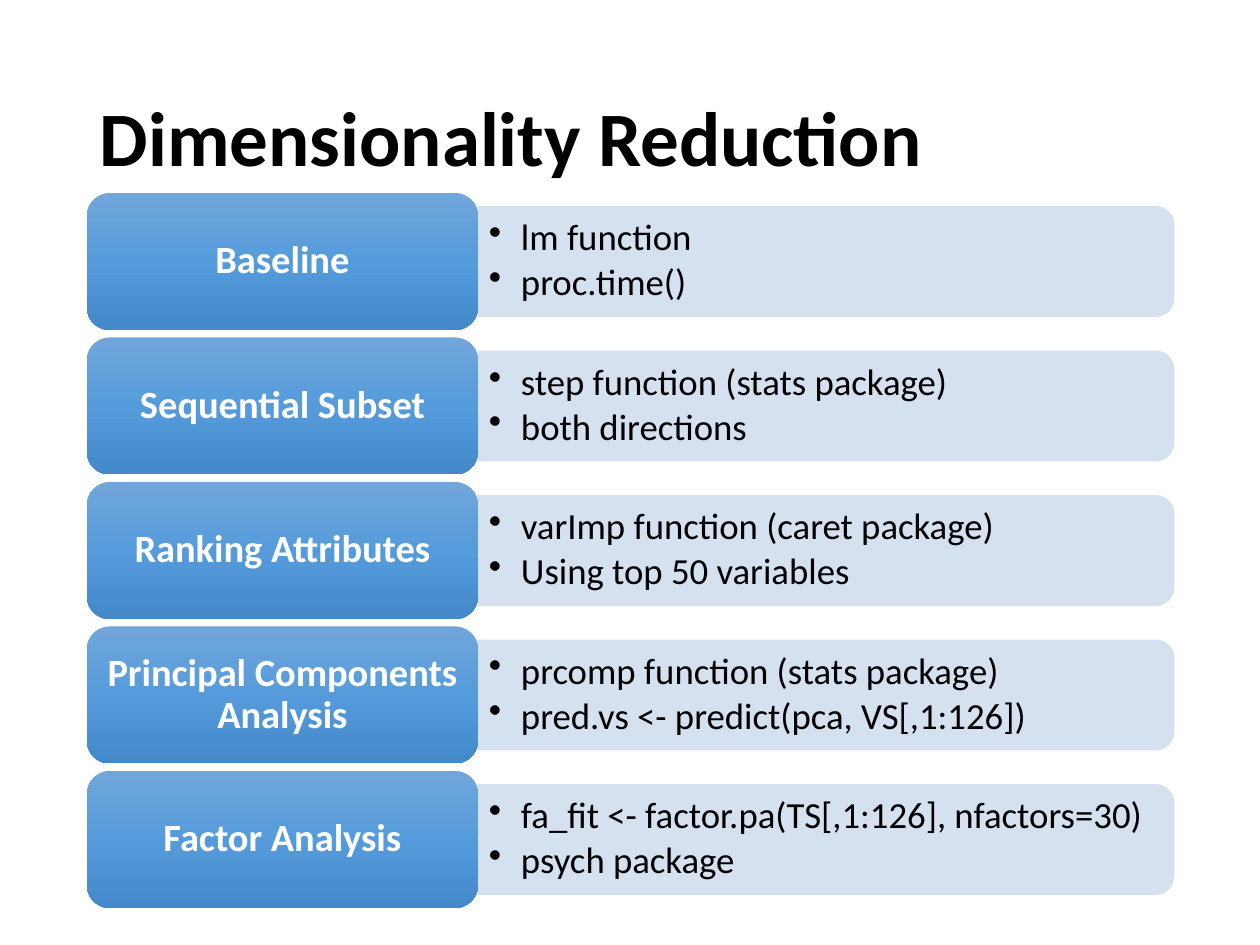
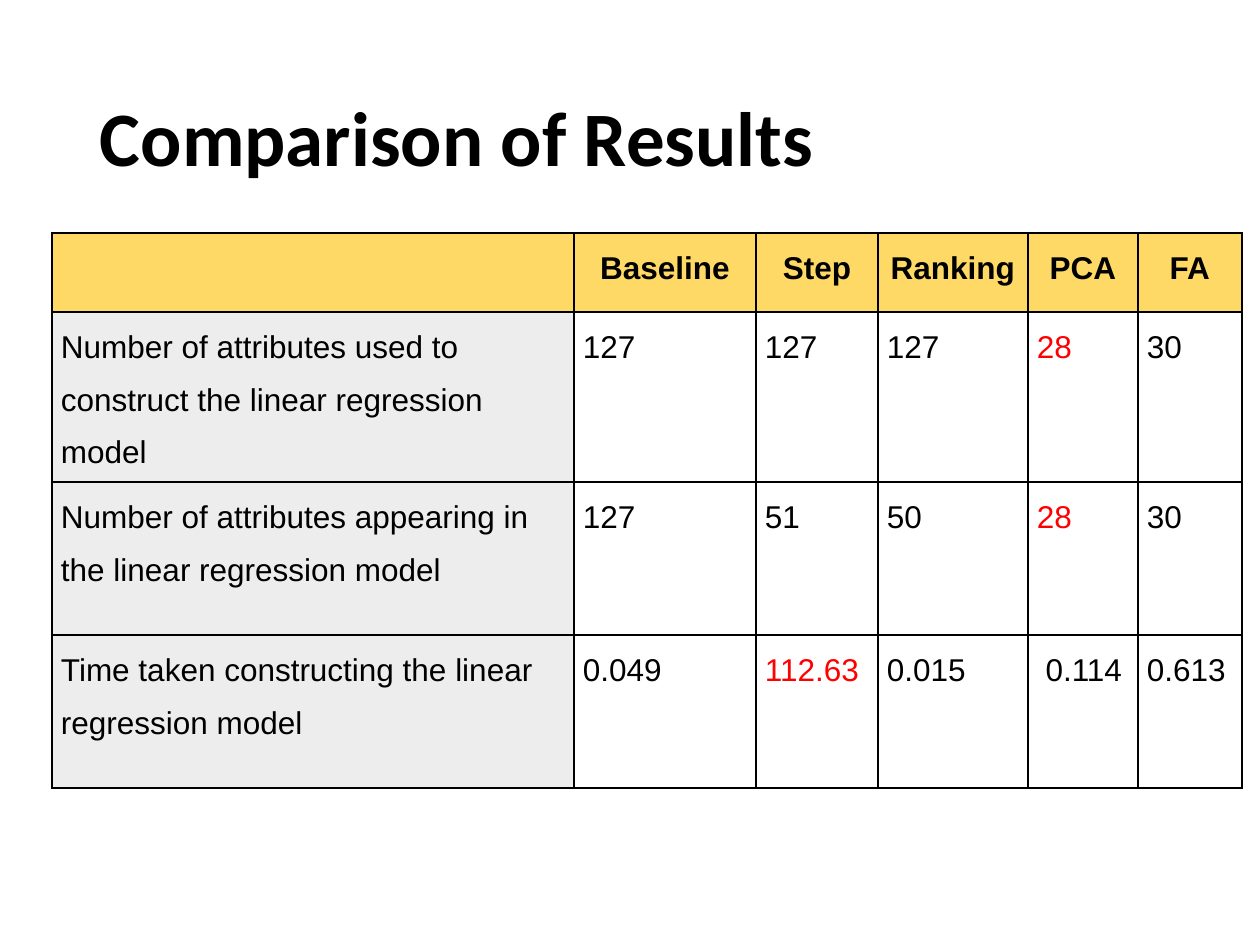
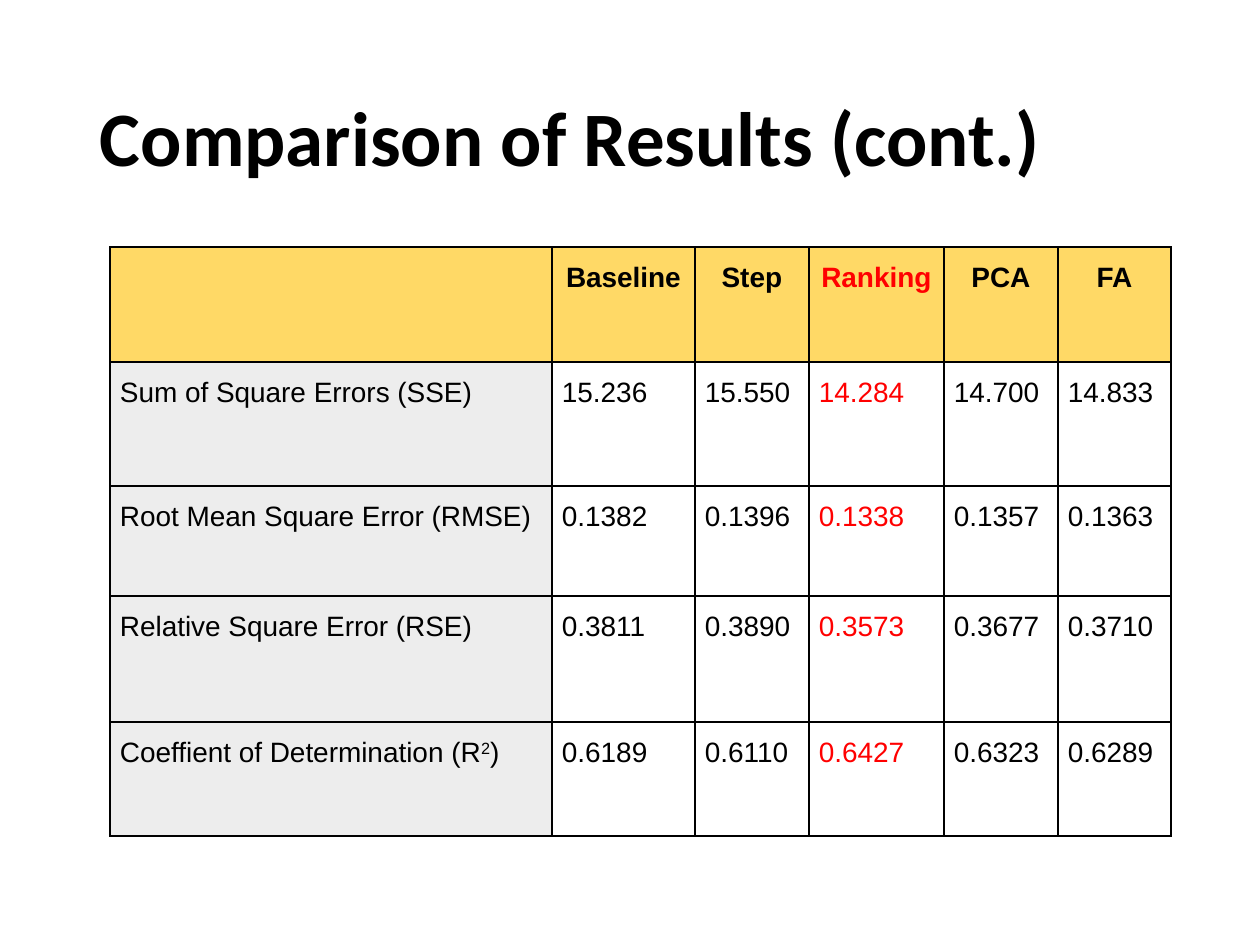
from copy import deepcopy
from dataclasses import dataclass

from lxml.etree import SubElement
from pptx import Presentation
from pptx.dml.color import RGBColor
from pptx.enum.shapes import MSO_SHAPE as Shape
from pptx.enum.text import MSO_ANCHOR as Anchor, PP_ALIGN as Align
from pptx.oxml.ns import qn
from pptx.util import Emu, Pt

REDUCTION_TITLE = "Dimensionality Reduction"
METHODS = [
    ("Baseline", ["lm function", "proc.time()"]),
    ("Sequential Subset", ["step function (stats package)", "both directions"]),
    ("Ranking Attributes", ["varImp function (caret package)", "Using top 50 variables"]),
    ("Principal Components Analysis",
     ["prcomp function (stats package)", "pred.vs <- predict(pca, VS[,1:126])"]),
    ("Factor Analysis",
     ["fa_fit <- factor.pa(TS[,1:126], nfactors=30)", "psych package"]),
]

HEADINGS = ["", "Baseline", "Step", "Ranking", "PCA", "FA"]
COMPARISONS = [
    {
        "title": "Comparison of Results",
        "rows": [
            HEADINGS,
            ["Number of attributes used to construct the linear regression model",
             "127", "127", "127", "28", "30"],
            ["Number of attributes appearing in the linear regression model",
             "127", "51", "50", "28", "30"],
            ["Time taken constructing the linear regression model",
             "0.049", "112.63", "0.015", " 0.114", "0.613"],
        ],
        "best": {(1, 4), (2, 4), (3, 2)},
        "corner": (52, 233),
        "widths": [522, 182, 122, 150, 110, 104],
        "heights": [79, 160, 153, 153],
        "size": 18,
        "inset": 9,
    },
    {
        "title": "Comparison of Results (cont.)",
        "rows": [
            HEADINGS,
            ["Sum of Square Errors (SSE)",
             "15.236", "15.550", "14.284", "14.700", "14.833"],
            ["Root Mean Square Error (RMSE)",
             "0.1382", "0.1396", "0.1338", "0.1357", "0.1363"],
            ["Relative Square Error (RSE)",
             "0.3811", "0.3890", "0.3573", "0.3677", "0.3710"],
            ["Coeffient of Determination (R^2^)",
             "0.6189", "0.6110", "0.6427", "0.6323", "0.6289"],
        ],
        "best": {(row, 3) for row in range(5)},
        "corner": (110, 247),
        "widths": [442, 143, 114, 135, 114, 113],
        "heights": [115, 124, 110, 126, 114],
        "size": 16,
        "inset": 10,
    },
]


@dataclass(frozen=True)
class Theme:
    text: str = "000000"
    light: str = "FFFFFF"
    accent: str = "FF0000"
    bar: str = "D2DEEF"
    card: tuple = ((0, "71A6DB"), (0.5, "559BDB"), (1, "448ACA"))
    header: str = "FFD966"
    label: str = "EDEDED"
    font: str = "Calibri"
    table_font: str = "Arial"
    title_size: int = 44
    card_size: int = 22
    bullet_size: int = 21


THEME = Theme()
SLIDE = (1260, 945)
TITLE_AREA = (87, 50, 1086, 183)
CARD_LEFT, CARD_WIDTH, CARD_HEIGHT = 87, 391, 137
FIRST_CARD_TOP, LAST_CARD_TOP = 193, 771
BAR_WIDTH, BAR_HEIGHT = 696, 110
BULLETS_WIDTH, BULLETS_HEIGHT = 690, 99
BULLET_INDENT = 32


def px(length):
    return Emu(round(length * 914400 / 126))


def rgb(value):
    return RGBColor.from_string(value)


def write_text(frame, lines, *, size, font=THEME.font, color=THEME.text, bold=False,
               align=Align.LEFT, spacing=0.9, after=0, bullet=False):
    for index, line in enumerate(lines):
        para = frame.add_paragraph() if index else frame.paragraphs[0]
        para.alignment = align
        para.line_spacing = spacing
        para.space_after = Pt(after)
        if bullet:
            properties = para._p.get_or_add_pPr()
            properties.set("marL", str(px(BULLET_INDENT)))
            properties.set("indent", str(-px(BULLET_INDENT)))
            SubElement(properties, qn("a:buChar"), char="•")
        for part, text in enumerate(line.split("^")):
            span = para.add_run()
            span.text = text
            span.font.size = Pt(size)
            span.font.name = font
            span.font.bold = bold
            span.font.color.rgb = rgb(color)
            if part % 2:
                span._r.get_or_add_rPr().set("baseline", "30000")


def set_frame(frame, across, down, anchor=Anchor.MIDDLE):
    frame.word_wrap = True
    frame.vertical_anchor = anchor
    frame.margin_left = frame.margin_right = px(across)
    frame.margin_top = frame.margin_bottom = px(down)


def add_text(page, area, lines, *, insets, **style):
    box = page.shapes.add_textbox(*map(px, area))
    set_frame(box.text_frame, *insets)
    write_text(box.text_frame, lines, **style)


def add_page(deck, title):
    page = deck.slides.add_slide(deck.slide_layouts[6])
    add_text(page, TITLE_AREA, [title], insets=(13, 6), size=THEME.title_size, bold=True)
    return page


def add_bar(page, left, top):
    shift = (BAR_WIDTH - BAR_HEIGHT) / 2
    bar = page.shapes.add_shape(Shape.ROUND_2_SAME_RECTANGLE, px(left + shift),
                                px(top - shift), px(BAR_HEIGHT), px(BAR_WIDTH))
    bar.rotation = 90
    bar.shadow.inherit = False
    bar.fill.solid()
    bar.fill.fore_color.rgb = rgb(THEME.bar)
    bar.line.color.rgb = rgb(THEME.bar)
    bar.line.width = Pt(0.5)
    for color in bar._element.spPr.iter(qn("a:srgbClr")):
        SubElement(color, qn("a:alpha"), val="90000")


def add_card(page, top, name):
    card = page.shapes.add_shape(Shape.ROUNDED_RECTANGLE, px(CARD_LEFT), px(top),
                                 px(CARD_WIDTH), px(CARD_HEIGHT))
    card.shadow.inherit = False
    card.line.fill.background()
    card.fill.gradient()
    card.fill.gradient_angle = 270
    stops = next(card._element.spPr.iter(qn("a:gsLst")))
    stops.append(deepcopy(stops[0]))
    for stop, (position, color) in zip(card.fill.gradient_stops, THEME.card):
        stop.position = position
        stop.color.rgb = rgb(color)
    set_frame(card.text_frame, 11, 6)
    write_text(card.text_frame, [name], size=THEME.card_size, color=THEME.light,
               bold=True, align=Align.CENTER)


def add_methods(deck):
    page = add_page(deck, REDUCTION_TITLE)
    pitch = (LAST_CARD_TOP - FIRST_CARD_TOP) / (len(METHODS) - 1)
    bar_left = CARD_LEFT + CARD_WIDTH
    for index, (name, notes) in enumerate(METHODS):
        top = FIRST_CARD_TOP + index * pitch
        middle = top + CARD_HEIGHT / 2
        add_bar(page, bar_left, middle - BAR_HEIGHT / 2)
        add_text(page, (bar_left, middle - BULLETS_HEIGHT / 2, BULLETS_WIDTH, BULLETS_HEIGHT),
                 notes, insets=(11, 5), size=THEME.bullet_size, after=3, bullet=True)
        add_card(page, top, name)


def style_cell(cell, fill, inset):
    properties = cell._tc.get_or_add_tcPr()
    for side in ("a:lnL", "a:lnR", "a:lnT", "a:lnB"):
        border = SubElement(properties, qn(side), w=str(Pt(1)))
        paint = SubElement(border, qn("a:solidFill"))
        SubElement(paint, qn("a:srgbClr"), val=THEME.text)
    cell.fill.solid()
    cell.fill.fore_color.rgb = rgb(fill)
    cell.vertical_anchor = Anchor.TOP
    cell.margin_left = cell.margin_right = px(inset)
    cell.margin_top = cell.margin_bottom = 0


def add_comparison(deck, content):
    page = add_page(deck, content["title"])
    rows, widths, heights = content["rows"], content["widths"], content["heights"]
    area = (*content["corner"], sum(widths), sum(heights))
    table = page.shapes.add_table(len(rows), len(widths), *map(px, area)).table
    table.first_row = table.horz_banding = False
    for column, width in zip(table.columns, widths):
        column.width = px(width)
    for row, height in zip(table.rows, heights):
        row.height = px(height)
    for r, values in enumerate(rows):
        for c, value in enumerate(values):
            cell = table.cell(r, c)
            heading = r == 0
            fill = THEME.header if heading else THEME.light if c else THEME.label
            style_cell(cell, fill, content["inset"])
            if value:
                write_text(cell.text_frame, [value], size=content["size"],
                           font=THEME.table_font, bold=heading, spacing=1.5,
                           color=THEME.accent if (r, c) in content["best"] else THEME.text,
                           align=Align.CENTER if heading else Align.LEFT)


def main():
    deck = Presentation()
    deck.slide_width, deck.slide_height = map(px, SLIDE)
    add_methods(deck)
    for content in COMPARISONS:
        add_comparison(deck, content)
    deck.save("out.pptx")


if __name__ == "__main__":
    main()
